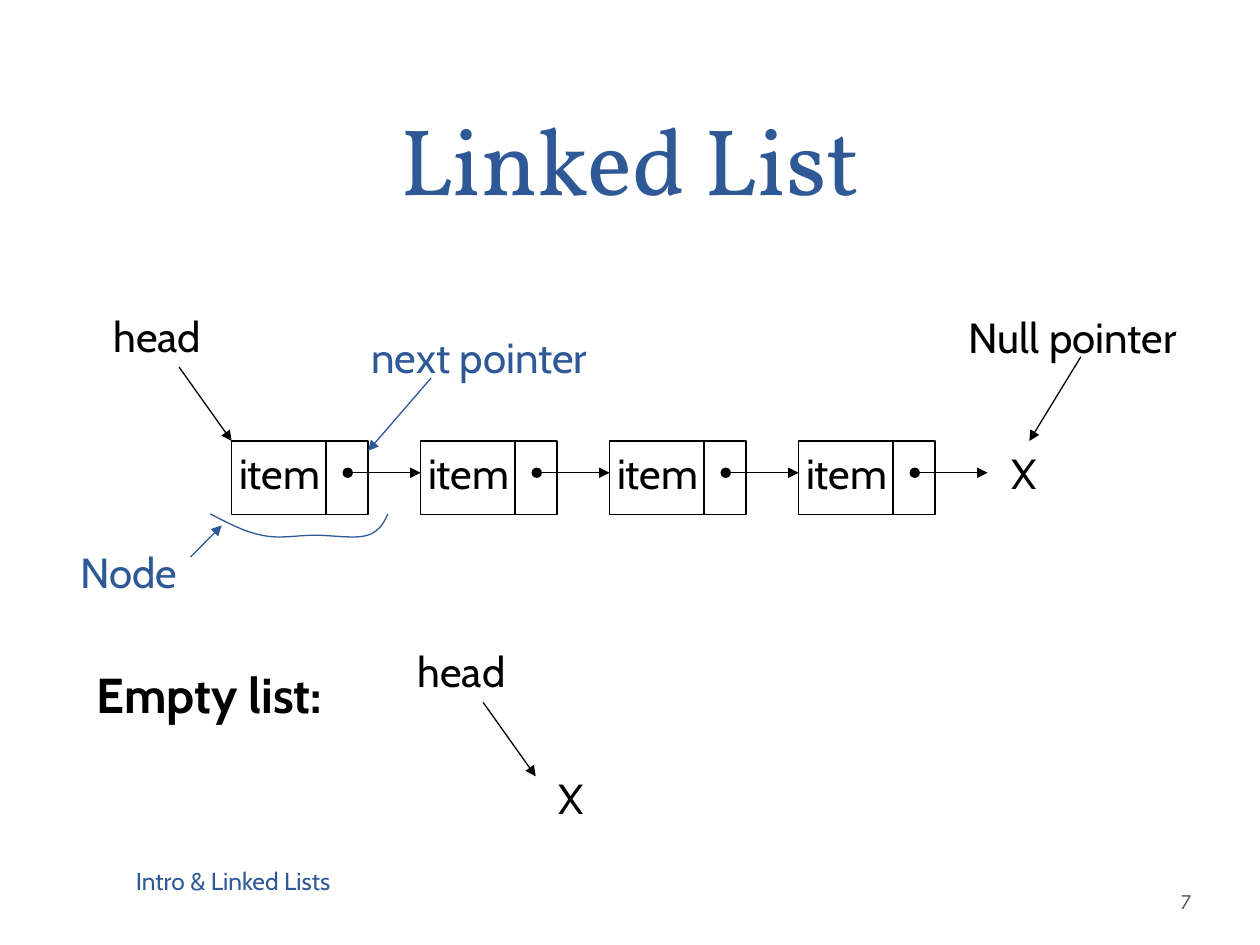
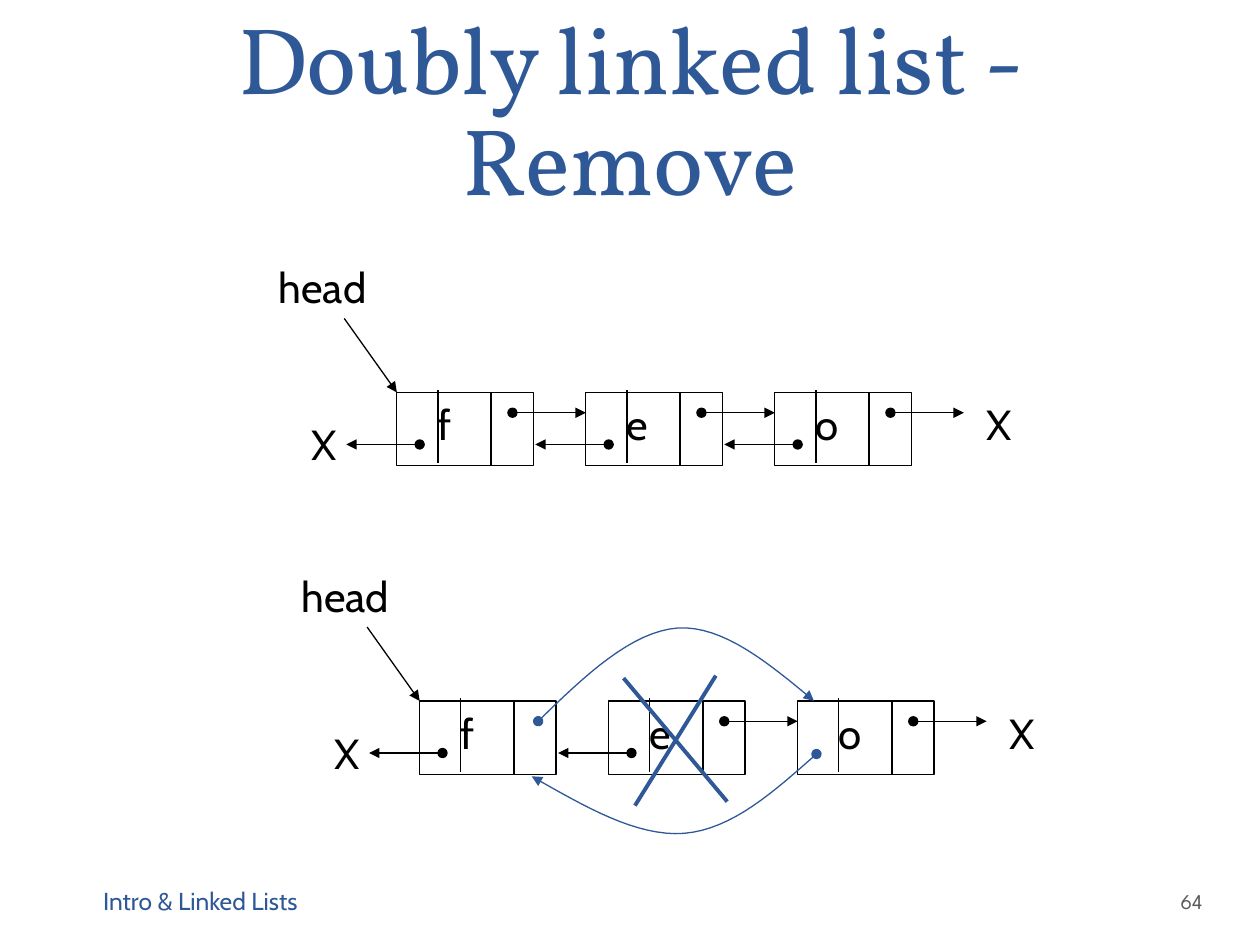
from lxml.etree import SubElement
from pptx import Presentation
from pptx.dml.color import RGBColor
from pptx.enum.shapes import MSO_CONNECTOR, MSO_SHAPE
from pptx.enum.text import MSO_ANCHOR, PP_ALIGN
from pptx.oxml.ns import qn
from pptx.util import Cm, Pt

BLACK, BLUE, GREY = "000000", "2F5897", "595959"
BODY_FONT, TITLE_FONT, NUMBER_FONT = "Cabin", "Vollkorn", "League Spartan"
NODE_WIDTH, NODE_HEIGHT, NODE_STEP = 2.75, 1.48, 3.81
RIGHT_DIVIDER, LEFT_DIVIDER = 1.9, 0.83
LABEL_HEIGHT, X_WIDTH = 1.28, 1.0
CURVE_STEPS = 16


def color(value):
    return RGBColor.from_string(value)


def add_text(page, text, x, y, width, height=LABEL_HEIGHT, ink=BLACK, size=24,
             font=BODY_FONT, bold=False, frame_format=None, para_format=None):
    box = page.shapes.add_textbox(Cm(x), Cm(y), Cm(width), Cm(height))
    frame = box.text_frame
    for name, value in {"word_wrap": True, **(frame_format or {})}.items():
        setattr(frame, name, value)
    para = frame.paragraphs[0]
    for name, value in (para_format or {}).items():
        setattr(para, name, value)
    span = para.add_run()
    span.text = text
    for name, value in {"name": font, "size": Pt(size), "bold": bold}.items():
        setattr(span.font, name, value)
    span.font.color.rgb = color(ink)


def style_line(shape, ink, weight, start=None, end=None):
    shape.line.color.rgb = color(ink)
    shape.line.width = Pt(weight)
    outline = shape.line._get_or_add_ln()
    for tag, kind in (("a:headEnd", start), ("a:tailEnd", end)):
        if kind:
            SubElement(outline, qn(tag), type=kind)


def add_line(page, x1, y1, x2, y2, ink=BLACK, weight=0.75, start=None, end=None):
    line = page.shapes.add_connector(
        MSO_CONNECTOR.STRAIGHT, Cm(x1), Cm(y1), Cm(x2), Cm(y2))
    style_line(line, ink, weight, start, end)
    SubElement(line._element.spPr, qn("a:effectLst"))


def add_arrow(page, x1, y1, x2, y2, ink=BLACK, start=None):
    add_line(page, x1, y1, x2, y2, ink, start=start, end="triangle")


def curve_points(controls):
    for first in range(0, len(controls) - 1, 3):
        segment = controls[first:first + 4]
        for step in range(1, CURVE_STEPS + 1):
            t = step / CURVE_STEPS
            weights = ((1 - t) ** 3, 3 * t * (1 - t) ** 2, 3 * t * t * (1 - t), t ** 3)
            yield tuple(sum(weight * point[axis] for weight, point in zip(weights, segment))
                        for axis in (0, 1))


def add_curve(page, x, y, controls, start=None, end=None):
    first_x, first_y = controls[0]
    builder = page.shapes.build_freeform(Cm(x + first_x), Cm(y + first_y))
    builder.add_line_segments(
        [(Cm(x + dx), Cm(y + dy)) for dx, dy in curve_points(controls)], close=False)
    curve = builder.convert_to_shape()
    curve.shadow.inherit = False
    curve.fill.background()
    style_line(curve, BLUE, 0.75, start, end)


def add_frame(page, title, number, footer_box):
    add_text(page, title, 1.27, 0, 22.86, 4.45, BLUE, 54, TITLE_FONT,
             frame_format={"vertical_anchor": MSO_ANCHOR.BOTTOM},
             para_format={"alignment": PP_ALIGN.CENTER, "line_spacing": Pt(58)})
    middle = {"vertical_anchor": MSO_ANCHOR.MIDDLE}
    add_text(page, "Intro & Linked Lists", *footer_box, BLUE, 14, frame_format=middle)
    add_text(page, number, 23.72, 17.65, 1.55, 1.02, GREY, 12, NUMBER_FONT,
             frame_format={**middle, "margin_left": Cm(0.08), "margin_right": Cm(0.13)})


def add_head_pointer(page, x, y):
    add_text(page, "head", x - 2.63, y - 2.76, 2.49)
    add_arrow(page, x - 1.06, y - 1.49, x, y)


def add_node_box(page, x, y):
    node = page.shapes.add_shape(
        MSO_SHAPE.RECTANGLE, Cm(x), Cm(y), Cm(NODE_WIDTH), Cm(NODE_HEIGHT))
    node.shadow.inherit = False
    node.fill.background()
    style_line(node, BLACK, 0.75)
    add_line(page, x + RIGHT_DIVIDER, y, x + RIGHT_DIVIDER, y + NODE_HEIGHT)


def add_single_node(page, x, y):
    add_node_box(page, x, y)
    add_text(page, "item", x - 0.1, y, 2.29)
    add_arrow(page, x + 2.34, y + 0.64, x + NODE_STEP, y + 0.64, start="oval")


def add_double_node(page, x, y, letter, has_next=True, has_previous=True):
    add_node_box(page, x, y)
    add_line(page, x + LEFT_DIVIDER, y - 0.05, x + LEFT_DIVIDER, y + NODE_HEIGHT - 0.05)
    add_text(page, letter, x + 0.02, y, 1.65, frame_format={"margin_left": Cm(0.81)})
    if has_next:
        add_arrow(page, x + 2.33, y + 0.41, x + NODE_STEP, y + 0.41, start="oval")
    if has_previous:
        add_arrow(page, x + 0.46, y + 1.05, x - 1.02, y + 1.05, start="oval")


def add_single_list(page, x, y):
    for index in range(4):
        add_single_node(page, x + index * NODE_STEP, y)
    add_text(page, "X", x + 15.47, y, X_WIDTH)
    add_head_pointer(page, x, y)
    add_text(page, "Null pointer", x + 14.61, y - 2.74, 5.23)
    add_arrow(page, x + 17.12, y - 1.7, x + 16.08, y)


def add_node_notes(page, x, y):
    add_text(page, "next pointer", x + 2.57, y - 2.34, 5.38, ink=BLUE)
    add_arrow(page, x + 4.02, y - 1.27, x + NODE_WIDTH, y + 0.2, BLUE)
    add_text(page, "Node", x - 3.3, y + 2.01, 2.67, ink=BLUE)
    add_arrow(page, x - 0.83, y + 2.34, x - 0.2, y + 1.7, BLUE)
    add_curve(page, x, y, [
        (-0.43, 1.47), (-0.08, 1.65), (0.25, 1.83), (0.61, 1.9),
        (0.97, 1.98), (1.32, 1.9), (1.68, 1.9),
        (2.03, 1.9), (2.49, 1.98), (2.74, 1.9),
        (2.97, 1.83), (3.07, 1.65), (3.15, 1.47)])


def add_empty_list(page, x, y):
    add_text(page, "Empty list:", x, y, 5.69, 1.45, size=28, bold=True)
    add_head_pointer(page, x + 9.1, y + 2.37)
    add_text(page, "X", x + 9.3, y + 2.16, X_WIDTH)


def add_double_list(page, x, y, middle_removed=False):
    add_head_pointer(page, x, y)
    for index, letter in enumerate("feo"):
        add_double_node(page, x + index * NODE_STEP, y, letter,
                        has_next=not (middle_removed and letter == "f"),
                        has_previous=not (middle_removed and letter == "o"))
    add_text(page, "X", x + 11.64, y, X_WIDTH)
    add_text(page, "X", x - 1.96, y + 0.41, X_WIDTH)


def add_removal(page, x, y):
    bypass_next = [(2.39, 0.41), (3.33, -0.51), (4.27, -1.4), (5.21, -1.47),
                   (6.12, -1.52), (7.04, -0.76), (7.95, 0)]
    bypass_previous = [(8, 1.07), (7.14, 1.83), (6.3, 2.59), (5.33, 2.67),
                       (4.37, 2.74), (3.33, 2.13), (2.26, 1.52)]
    for controls in (bypass_next, bypass_previous):
        add_curve(page, x, y, controls, "oval", "triangle")
    for x1, y1, x2, y2 in ((4.11, -0.46, 6.2, 2.03), (5.97, -0.51, 4.34, 2.11)):
        add_line(page, x + x1, y + y1, x + x2, y + y2, BLUE, 2.25)


def build_linked_list(page):
    add_frame(page, "Linked List", "7", (2.49, 17.12, 11, 1.27))
    add_single_list(page, 4.67, 8.89)
    add_node_notes(page, 4.67, 8.89)
    add_empty_list(page, 1.7, 13.28)


def build_doubly_linked_remove(page):
    add_frame(page, "Doubly linked list - Remove", "64", (1.83, 17.65, 7.9, 1.02))
    add_double_list(page, 8, 7.91)
    add_double_list(page, 8.46, 14.13, middle_removed=True)
    add_removal(page, 8.46, 14.13)


def main():
    deck = Presentation()
    deck.slide_width, deck.slide_height = Cm(25.4), Cm(19.05)
    for build in (build_linked_list, build_doubly_linked_remove):
        build(deck.slides.add_slide(deck.slide_layouts[6]))
    deck.save("out.pptx")


if __name__ == "__main__":
    main()
